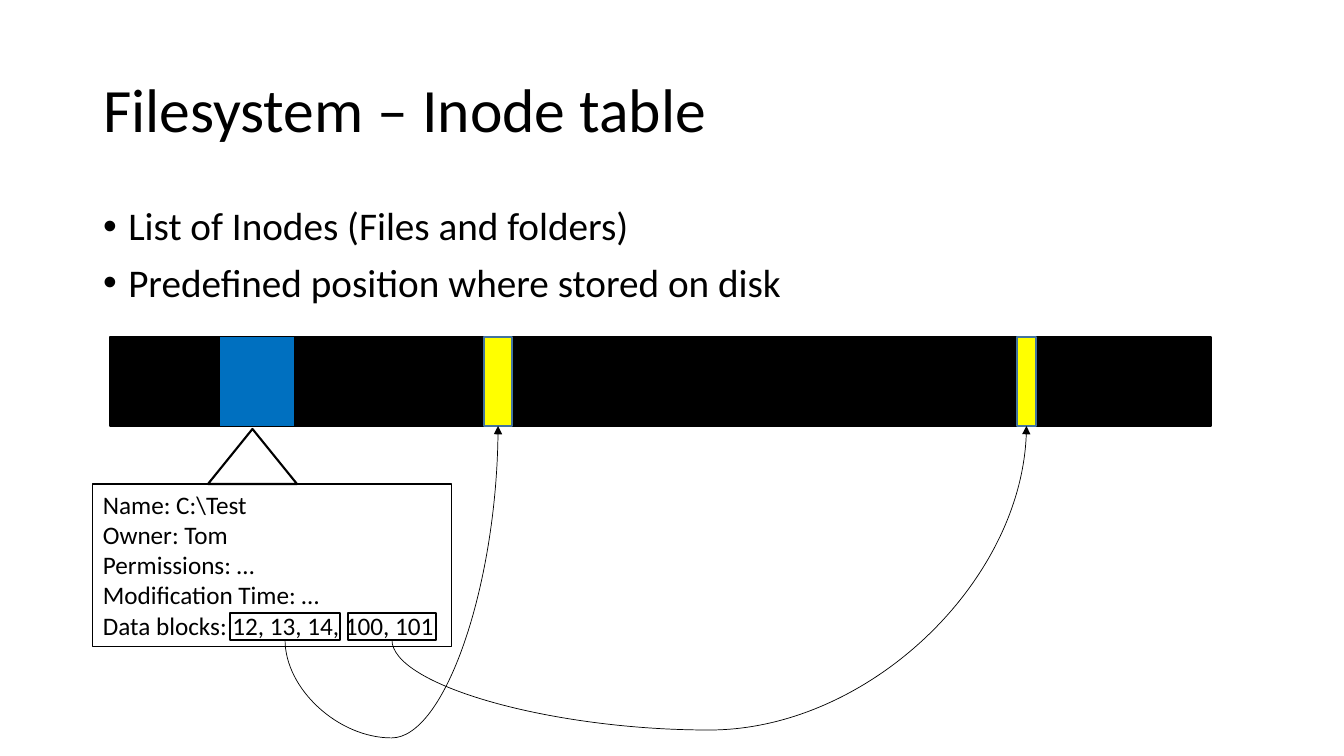
from dataclasses import dataclass

from lxml import etree
from pptx import Presentation
from pptx.dml.color import RGBColor
from pptx.enum.shapes import MSO_CONNECTOR, MSO_SHAPE
from pptx.enum.text import MSO_ANCHOR, MSO_AUTO_SIZE, PP_ALIGN
from pptx.oxml.ns import qn
from pptx.util import Emu, Pt

RECT, TRIANGLE = MSO_SHAPE.RECTANGLE, MSO_SHAPE.ISOSCELES_TRIANGLE
CURVE = MSO_CONNECTOR.CURVE
LEFT, TOP, MIDDLE = PP_ALIGN.LEFT, MSO_ANCHOR.TOP, MSO_ANCHOR.MIDDLE
NO_FIT = MSO_AUTO_SIZE.NONE
PX = 914400 / 100.8


@dataclass(frozen=True)
class Theme:
    """Colours, font and type sizes of the slide."""
    font: str = "Calibri"
    ink: str = "000000"
    inode: str = "0070C0"
    data: str = "FFFF00"
    data_edge: str = "43739E"
    title: int = 44
    body: int = 28
    label: int = 18


T = Theme()


def write(tf, lines, size, anchor=TOP, **spacing):
    """Fill a text frame with left-aligned paragraphs and return them."""
    tf.word_wrap = True
    tf.auto_size = NO_FIT
    tf.vertical_anchor = anchor
    tf.text = "\n".join(lines)
    for p in tf.paragraphs:
        p.alignment = LEFT
        for name, value in spacing.items():
            setattr(p, name, value)
        font = p.runs[0].font
        font.name, font.size = T.font, Pt(size)
        font.color.rgb = RGBColor.from_string(T.ink)
    return tf.paragraphs


def box(kind, x, y, w, h, fill=None, line=None, width=1):
    """Add a preset shape, placed in pixels, and return it."""
    sp = s.shapes.add_shape(kind, *(Emu(round(v * PX)) for v in (x, y, w, h)))
    sp.shadow.inherit = False
    for paint, colour in ((sp.fill, fill), (sp.line.fill, line)):
        if colour:
            paint.solid()
            paint.fore_color.rgb = RGBColor.from_string(colour)
        else:
            paint.background()
    if line:
        sp.line.width = Pt(width)
    return sp


prs = Presentation()
prs.slide_width, prs.slide_height = Emu(round(1344 * PX)), Emu(round(756 * PX))
s = prs.slides.add_slide(prs.slide_layouts[1])

# Title and bullets
title, body = s.shapes.title, s.placeholders[1]
for sp, y, h in ((title, 40, 146), (body, 202, 480)):
    sp.left, sp.top, sp.width, sp.height = (
        Emu(round(v * PX)) for v in (93, y, 1159, h))
write(title.text_frame, ["Filesystem – Inode table"], T.title, MIDDLE,
      line_spacing=0.9)
bullets = write(body.text_frame,
                ["List of Inodes (Files and folders)",
                 "Predefined position where stored on disk"],
                T.body, line_spacing=0.9, space_before=Pt(10))
for p in bullets:
    pPr = p._p.get_or_add_pPr()
    pPr.set("marL", str(Pt(18)))
    pPr.set("indent", str(-Pt(18)))

# Disk with the inode table
DISK_Y, DISK_H = 337, 89
box(RECT, 110, DISK_Y, 1101, DISK_H, T.ink, T.ink)
box(RECT, 220, DISK_Y, 74, DISK_H, T.inode)

# Inode details
box(TRIANGLE, 208, 429, 89, 55, line=T.ink, width=1.5)
inode = box(RECT, 93, 484, 359, 163, line=T.ink, width=0.75)
write(inode.text_frame,
      ["Name: C:\\Test", "Owner: Tom", "Permissions: …",
       "Modification Time: …", "Data blocks: 12, 13, 14, 100, 101"], T.label)

# Block lists, the disk areas they refer to, and the arrows between them
LIST_Y, LIST_H = 613, 27
START_Y, END_Y = LIST_Y + LIST_H, DISK_Y + DISK_H
RISE = START_Y - END_Y
links = [  # list x, list width, area x, area width, lowest y of the arrow
    (230, 110, 484, 28, 738),
    (348, 88, 1017, 19, 730),
]
for list_x, list_w, area_x, area_w, low_y in links:
    box(RECT, list_x, LIST_Y, list_w, LIST_H, line=T.ink)
    box(RECT, area_x, DISK_Y, area_w, DISK_H, T.data, T.data_edge)

    # The curve is laid out sideways around its centre, then turned by 90°
    x1, x2 = list_x + list_w / 2, area_x + area_w / 2
    cx, cy, run = (x1 + x2) / 2, (START_Y + END_Y) / 2, x2 - x1
    ends = (cx + RISE / 2, cy + run / 2, cx - RISE / 2, cy - run / 2)
    arrow = s.shapes.add_connector(CURVE, *(Emu(round(v * PX)) for v in ends))
    arrow.line.width = Pt(0.5)
    arrow.line.color.rgb = RGBColor.from_string(T.ink)
    spPr = arrow._element.spPr
    spPr.find(qn("a:xfrm")).set("rot", str(90 * 60000))
    bend = round((START_Y - low_y) / RISE * 100000)
    guides = spPr.find(qn("a:prstGeom")).get_or_add_avLst()
    etree.SubElement(guides, qn("a:gd"), name="adj1", fmla=f"val {bend}")
    etree.SubElement(spPr.find(qn("a:ln")), qn("a:tailEnd"), type="triangle")
    etree.SubElement(spPr, qn("a:effectLst"))

prs.save("out.pptx")
